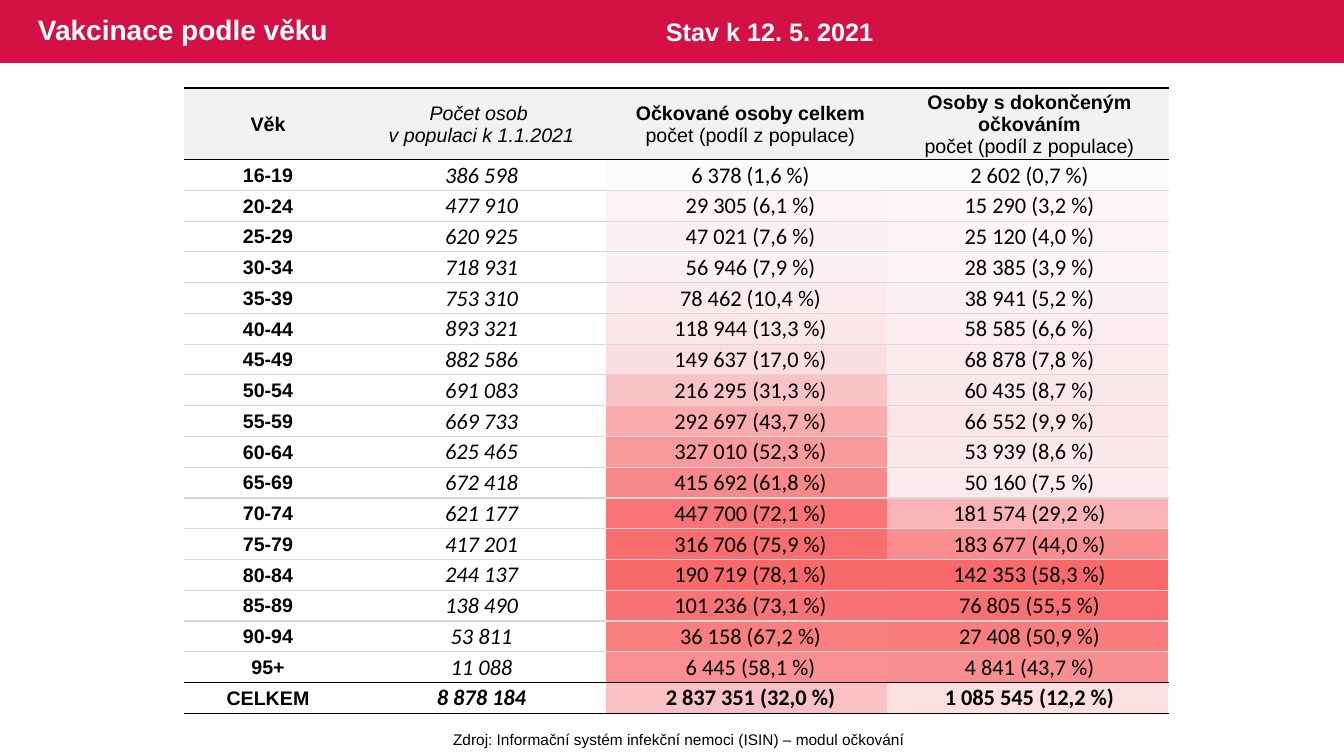
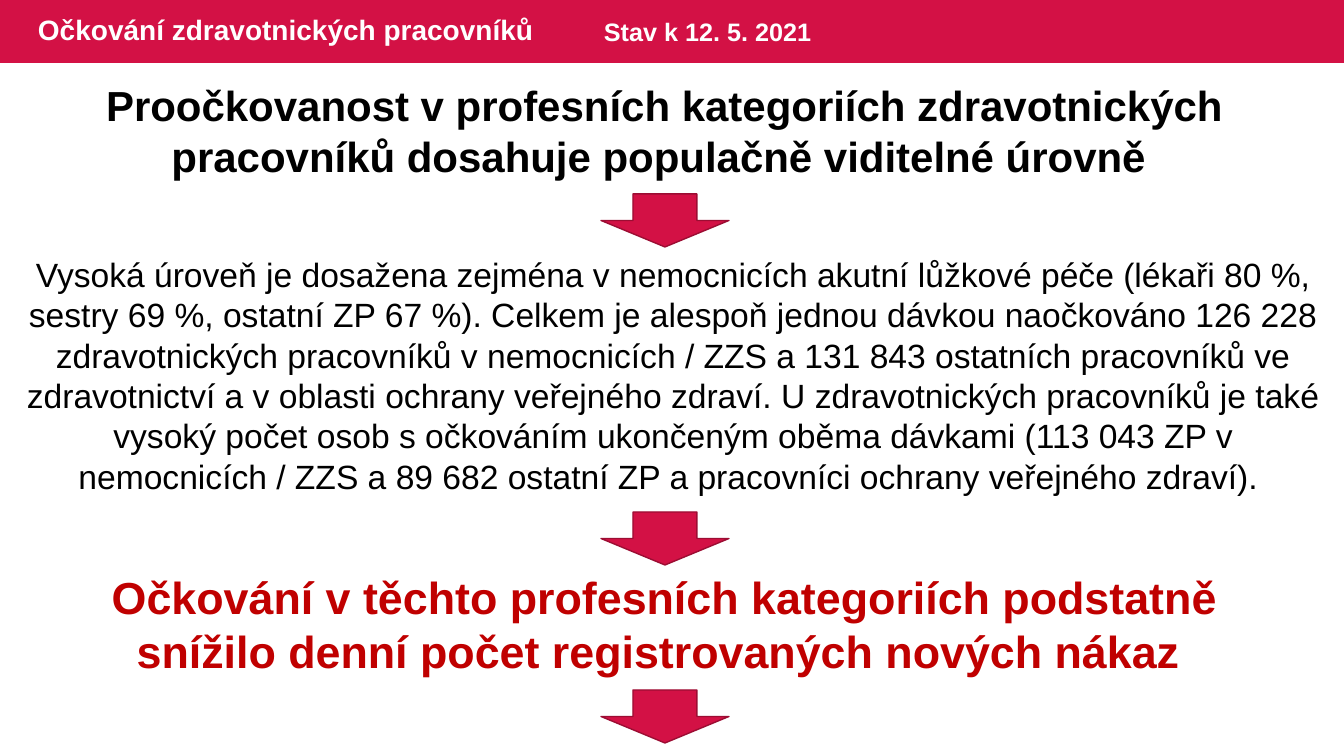
from dataclasses import dataclass

from lxml.etree import SubElement
from pptx import Presentation
from pptx.dml.color import RGBColor
from pptx.enum.shapes import MSO_SHAPE as Shape
from pptx.enum.text import MSO_ANCHOR as Anchor, PP_ALIGN as Align
from pptx.oxml.ns import qn
from pptx.util import Emu, Pt


@dataclass(frozen=True)
class Theme:
    font: str = "Arial"
    number_font: str = "Calibri"
    brand: str = "D31145"
    brand_edge: str = "9C0D33"
    on_brand: str = "FFFFFF"
    ink: str = "000000"
    alert: str = "C00000"
    header_fill: str = "F2F2F2"
    rule: str = "D9D9D9"
    heat_low: str = "FCFCFF"
    heat_high: str = "F8696B"
    title_size: int = 20
    date_size: int = 18
    source_size: int = 11
    label_size: int = 14
    number_size: int = 16
    claim_size: int = 30
    detail_size: int = 24
    result_size: int = 32


THEME = Theme()
SLIDE_W, SLIDE_H, BAND_H = 1344, 756, 63
STATUS_DATE = "Stav k 12. 5. 2021"

AGE_TITLE = "Vakcinace podle věku"
SOURCE = "Zdroj: Informační systém infekční nemoci (ISIN) – modul očkování"
SHARE_NOTE = "počet (podíl z populace)"
# Each heading line: text, bold, italic
AGE_HEADER = [
    [("Věk", True, False)],
    [("Počet osob ", False, True), ("v populaci k 1.1.2021", False, True)],
    [("Očkované osoby celkem", True, False), (SHARE_NOTE, False, False)],
    [("Osoby s dokončeným očkováním", True, False), (SHARE_NOTE, False, False)],
]
AGE_ROWS = [
    ("16-19", "386 598", "6 378 (1,6 %)", "2 602 (0,7 %)"),
    ("20-24", "477 910", "29 305 (6,1 %)", "15 290 (3,2 %)"),
    ("25-29", "620 925", "47 021 (7,6 %)", "25 120 (4,0 %)"),
    ("30-34", "718 931", "56 946 (7,9 %)", "28 385 (3,9 %)"),
    ("35-39", "753 310", "78 462 (10,4 %)", "38 941 (5,2 %)"),
    ("40-44", "893 321", "118 944 (13,3 %)", "58 585 (6,6 %)"),
    ("45-49", "882 586", "149 637 (17,0 %)", "68 878 (7,8 %)"),
    ("50-54", "691 083", "216 295 (31,3 %)", "60 435 (8,7 %)"),
    ("55-59", "669 733", "292 697 (43,7 %)", "66 552 (9,9 %)"),
    ("60-64", "625 465", "327 010 (52,3 %)", "53 939 (8,6 %)"),
    ("65-69", "672 418", "415 692 (61,8 %)", "50 160 (7,5 %)"),
    ("70-74", "621 177", "447 700 (72,1 %)", "181 574 (29,2 %)"),
    ("75-79", "417 201", "316 706 (75,9 %)", "183 677 (44,0 %)"),
    ("80-84", "244 137", "190 719 (78,1 %)", "142 353 (58,3 %)"),
    ("85-89", "138 490", "101 236 (73,1 %)", "76 805 (55,5 %)"),
    ("90-94", "53 811", "36 158 (67,2 %)", "27 408 (50,9 %)"),
    ("95+", "11 088", "6 445 (58,1 %)", "4 841 (43,7 %)"),
    ("CELKEM", "8 878 184", "2 837 351 (32,0 %)", "1 085 545 (12,2 %)"),
]
COLUMN_WIDTHS = (168, 259, 279, 279)
TABLE_LEFT, TABLE_TOP, HEADER_H, BODY_H = 184, 88, 71, 554
ROW_H = BODY_H / len(AGE_ROWS)
HEAT_COLUMNS = (2, 3)
HEAT_LEFT, HEAT_WIDTHS = 606, (281, 281)
NO_STYLE = "{2D5ABB26-0587-4C30-8999-92F81FD0307C}"

STAFF_TITLE = "Očkování zdravotnických pracovníků"
CLAIM = ("Proočkovanost v profesních kategoriích zdravotnických pracovníků "
         "dosahuje populačně viditelné úrovně ")
DETAIL = (
    "Vysoká úroveň je dosažena zejména v nemocnicích akutní lůžkové péče "
    "(lékaři 80 %, sestry 69 %, ostatní ZP 67 %). Celkem je alespoň jednou dávkou "
    "naočkováno 126 228 zdravotnických pracovníků v nemocnicích / ZZS a 131 843 "
    "ostatních pracovníků ve zdravotnictví a v oblasti ochrany veřejného zdraví. "
    "U zdravotnických pracovníků je také vysoký počet osob s očkováním ukončeným "
    "oběma dávkami (113 043 ZP v nemocnicích / ZZS a 89 682 ostatní ZP a pracovníci "
    "ochrany veřejného zdraví). ")
RESULT = ("Očkování v těchto profesních kategoriích podstatně snížilo denní počet "
          "registrovaných nových nákaz ")
# Text, box, size, colour, bold, top of the arrow below
STAFF_STEPS = [
    (CLAIM, (48, 75, 1234, 112), THEME.claim_size, THEME.ink, True, 194),
    (DETAIL, (16, 249, 1314, 254), THEME.detail_size, THEME.ink, False, 512),
    (RESULT, (48, 565, 1234, 119), THEME.result_size, THEME.alert, True, 690),
]
ARROW_LEFT, ARROW_W, ARROW_H = 601, 128, 53


def px(length):
    return Emu(round(length * 914400 / 100.8))


def rgb(code):
    return RGBColor.from_string(code)


def style(font, size, color=THEME.ink, bold=False, italic=False, name=THEME.font):
    font.name, font.size, font.bold, font.italic = name, Pt(size), bold, italic
    font.color.rgb = rgb(color)


def set_fill(part, color):
    part.fill.solid()
    part.fill.fore_color.rgb = rgb(color)


def add_shape(slide, kind, box, fill, edge=None):
    shape = slide.shapes.add_shape(kind, *map(px, box))
    shape.shadow.inherit = False
    set_fill(shape, fill)
    if edge:
        shape.line.color.rgb = rgb(edge)
        shape.line.width = Pt(1)
    else:
        shape.line.fill.background()


def add_text(slide, text, box, size, color=THEME.ink, bold=False,
             align=Align.LEFT, anchor=Anchor.TOP, wrap=True):
    frame = slide.shapes.add_textbox(*map(px, box)).text_frame
    frame.word_wrap = wrap
    frame.vertical_anchor = anchor
    frame.text = text
    paragraph = frame.paragraphs[0]
    paragraph.alignment = align
    style(paragraph.runs[0].font, size, color, bold)
    return paragraph


def add_banded_slide(deck, title, date_left):
    slide = deck.slides.add_slide(deck.slide_layouts[6])
    add_shape(slide, Shape.RECTANGLE, (0, 0, SLIDE_W, BAND_H), THEME.brand)
    heading = add_text(slide, title, (28, 0, 820, BAND_H), THEME.title_size,
                       THEME.on_brand, True, anchor=Anchor.MIDDLE)
    heading.line_spacing = 0.9
    add_text(slide, STATUS_DATE, (date_left, 11, 298, 40), THEME.date_size,
             THEME.on_brand, True)
    return slide


def add_plain_table(slide, left, top, widths, heights):
    """Table without style, with tight cell margins."""
    table = slide.shapes.add_table(
        len(heights), len(widths), px(left), px(top),
        px(sum(widths)), px(sum(heights))).table
    table.first_row = table.horz_banding = False
    table._tbl.tblPr.find(qn("a:tableStyleId")).text = NO_STYLE
    for column, width in zip(table.columns, widths):
        column.width = px(width)
    for row, height in zip(table.rows, heights):
        row.height = px(height)
    for cell in table.iter_cells():
        cell.margin_left = cell.margin_right = cell.margin_top = px(1)
        cell.margin_bottom = 0
        cell.vertical_anchor = Anchor.MIDDLE
    return table


def share(entry):
    """Percentage in an entry such as '6 378 (1,6 %)'."""
    return float(entry.split("(")[1].split()[0].replace(",", "."))


def heat_colors(column):
    """Fills for a column, scaled from its lowest to its highest share."""
    shares = [share(row[column]) for row in AGE_ROWS]
    low, high = min(shares), max(shares)
    ends = list(zip(bytes.fromhex(THEME.heat_low), bytes.fromhex(THEME.heat_high)))
    return ["".join(f"{round(a + (b - a) * (value - low) / (high - low)):02X}"
                    for a, b in ends) for value in shares]


def add_heat_table(slide):
    table = add_plain_table(slide, HEAT_LEFT, TABLE_TOP + HEADER_H,
                            HEAT_WIDTHS, [ROW_H] * len(AGE_ROWS))
    for column, source_column in enumerate(HEAT_COLUMNS):
        for index, color in enumerate(heat_colors(source_column)):
            cell = table.cell(index, column)
            set_fill(cell, color)
            # The size of an empty cell's text keeps its row from growing
            SubElement(cell.text_frame.paragraphs[0]._p, qn("a:endParaRPr"),
                       sz=str(THEME.label_size * 100))


def set_borders(cell, top, bottom):
    properties = cell._tc.get_or_add_tcPr()
    for side, color in (("a:lnT", top), ("a:lnB", bottom)):
        line = SubElement(properties, qn(side), w=str(Pt(1)))
        fill = SubElement(line, qn("a:solidFill"))
        SubElement(fill, qn("a:srgbClr"), val=color)


def write_cell(cell, lines, size, font_name, top, bottom):
    set_borders(cell, top, bottom)
    cell.fill.background()
    cell.text_frame.text = "\n".join(text for text, _, _ in lines)
    for paragraph, (_, bold, italic) in zip(cell.text_frame.paragraphs, lines):
        paragraph.alignment = Align.CENTER
        style(paragraph.runs[0].font, size, bold=bold, italic=italic, name=font_name)


def add_age_table(slide):
    last = len(AGE_ROWS)
    table = add_plain_table(slide, TABLE_LEFT, TABLE_TOP, COLUMN_WIDTHS,
                            [HEADER_H] + [ROW_H] * last)
    # Rule under each row: black around the header and the total
    rules = [THEME.ink if index in (0, last - 1, last) else THEME.rule
             for index in range(last + 1)]
    for column, lines in enumerate(AGE_HEADER):
        cell = table.cell(0, column)
        write_cell(cell, lines, THEME.label_size, THEME.font, THEME.ink, rules[0])
        set_fill(cell, THEME.header_fill)
    for index, entries in enumerate(AGE_ROWS, 1):
        for column, entry in enumerate(entries):
            is_age = column == 0
            write_cell(table.cell(index, column),
                       [(entry, is_age or index == last, column == 1)],
                       THEME.label_size if is_age else THEME.number_size,
                       THEME.font if is_age else THEME.number_font,
                       rules[index - 1], rules[index])


def build_age_slide(deck):
    slide = add_banded_slide(deck, AGE_TITLE, 656)
    add_heat_table(slide)
    add_text(slide, SOURCE, (442, 725, 474, 29), THEME.source_size,
             align=Align.CENTER, wrap=False)
    add_age_table(slide)


def build_staff_slide(deck):
    slide = add_banded_slide(deck, STAFF_TITLE, 594)
    for text, box, size, color, bold, arrow_top in STAFF_STEPS:
        add_text(slide, text, box, size, color, bold, Align.CENTER)
        add_shape(slide, Shape.DOWN_ARROW, (ARROW_LEFT, arrow_top, ARROW_W, ARROW_H),
                  THEME.brand, THEME.brand_edge)


def main():
    deck = Presentation()
    deck.slide_width, deck.slide_height = px(SLIDE_W), px(SLIDE_H)
    build_age_slide(deck)
    build_staff_slide(deck)
    deck.save("out.pptx")


if __name__ == "__main__":
    main()
